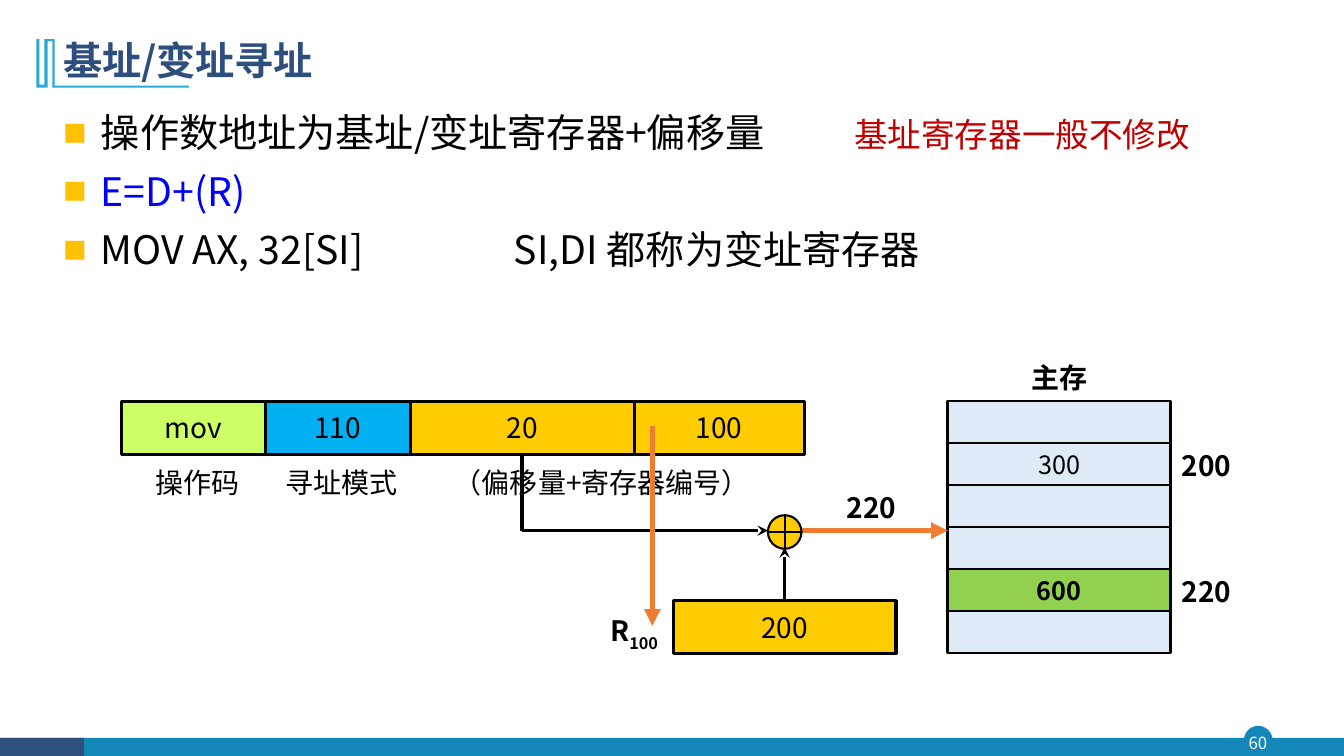
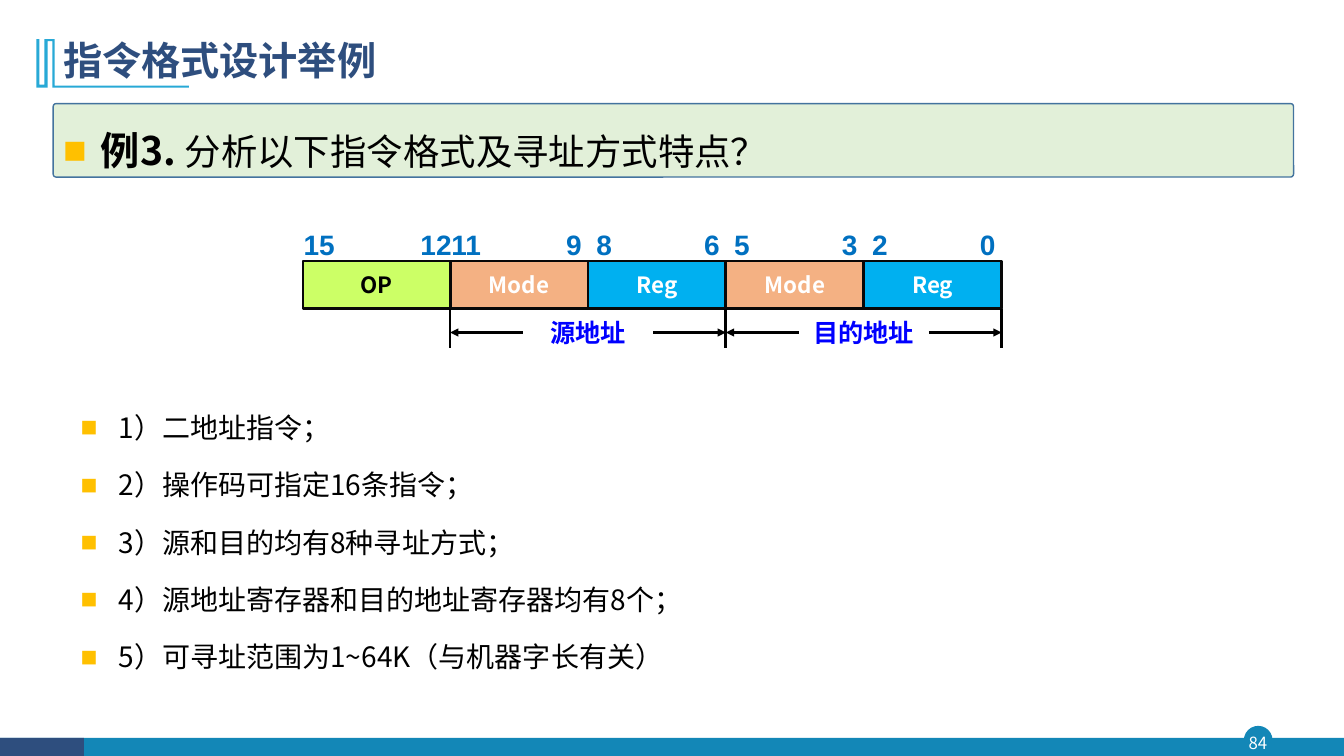
import pptx
import pptx.dml.color
import pptx.enum.shapes
import pptx.enum.text
import pptx.oxml
import pptx.oxml.ns
import pptx.util

KIND = pptx.enum.shapes.MSO_SHAPE
ALIGN = pptx.enum.text.PP_ALIGN
ANCHOR = pptx.enum.text.MSO_ANCHOR
COLS, ROWS = 96, 54
SANS = "Noto Sans CJK SC"
NAVY, TEAL, SKY = "2E4E7E", "1387B7", "28A9D6"
BLACK, WHITE, BLUE, RED = "000000", "FFFFFF", "0000FF", "C00000"
LIME, CYAN, GOLD, PALE = "CCFF66", "00B0F0", "FFCC00", "DEEBF7"
GREEN, PEACH, MINT, ORANGE = "92D050", "F4B183", "E2F0D9", "ED7D31"
MARK, DIGIT, EDGE, INK = "FFC000", "0070C0", "43739E", "080808"


def cell(n):
    return pptx.util.Pt(n * 10)


def color(code):
    return pptx.dml.color.RGBColor.from_string(code)


def node(root, tag, **attrs):
    item = pptx.oxml.ns.qn(tag)
    child = root.makeelement(item, attrs)
    root.append(child)
    return child


def run(para, text, size=20, code=BLACK, bold=False, face=SANS, base=None):
    part = para.add_run()
    part.text = text
    font = part.font
    font.size = pptx.util.Pt(size)
    font.bold = bold
    font.color.rgb = color(code)
    font.name = face
    props = part.font._element
    node(props, "a:ea", typeface=face)
    if base:
        props.set("baseline", base)


def fill(frame, runs, align=ALIGN.CENTER):
    para = frame.paragraphs[0]
    para.alignment = align
    for text, style in runs:
        run(para, text, **style)
    return para


def label(slide, box, *runs, align=ALIGN.CENTER, mid=False, inset=True):
    frame = slide.shapes.add_textbox(*map(cell, box)).text_frame
    frame.word_wrap = True
    if mid:
        frame.vertical_anchor = ANCHOR.MIDDLE
    if not inset:
        frame.margin_left = frame.margin_right = 0
        frame.margin_top = frame.margin_bottom = 0
    return fill(frame, runs, align)


def block(slide, box, code, line=None, width=1, kind=KIND.RECTANGLE, runs=()):
    shape = slide.shapes.add_shape(kind, *map(cell, box))
    shape.shadow.inherit = False
    shape.fill.solid()
    shape.fill.fore_color.rgb = color(code)
    if line:
        shape.line.color.rgb = color(line)
        shape.line.width = pptx.util.Pt(width)
    else:
        shape.line.fill.background()
    if runs:
        shape.text_frame.vertical_anchor = ANCHOR.MIDDLE
        fill(shape.text_frame, runs)
    return shape


def wire(slide, start, end, width, code=BLACK, tip=None, source=None, site=0):
    line = slide.shapes.add_connector(
        pptx.enum.shapes.MSO_CONNECTOR.STRAIGHT, *map(cell, start + end))
    if source:
        line.begin_connect(source, site)
    line.line.color.rgb = color(code)
    line.line.width = pptx.util.Pt(width)
    if tip:
        node(line.line._get_or_add_ln(), "a:tailEnd", type=tip)
    node(line._element.spPr, "a:effectLst")


def bullets(slide, box, items, gap=0, tabs=()):
    frame = slide.shapes.add_textbox(*map(cell, box)).text_frame
    frame.word_wrap = True
    for i, runs in enumerate(items):
        para = frame.add_paragraph() if i else frame.paragraphs[0]
        para.line_spacing = 1.0
        if i:
            para.space_before = pptx.util.Pt(gap)
        props = para._p.get_or_add_pPr()
        hang = cell(2.7)
        props.set("marL", str(hang))
        props.set("indent", str(-hang))
        node(node(props, "a:buClr"), "a:srgbClr", val=MARK)
        node(props, "a:buFont", typeface="Arial")
        node(props, "a:buChar", char="■")
        if i < len(tabs) and tabs[i]:
            stops = node(props, "a:tabLst")
            node(stops, "a:tab", pos=str(cell(tabs[i])), algn="l")
        for text, style in runs:
            run(para, text, **style)


def emblem(slide, x, y):
    spots = [(1.3, 0), (1.3, 3.31), (10.9, 3.31), (10.9, 3.46), (1.15, 3.46),
             (1.15, .14), (.8, .14), (.8, 3.46), (0, 3.46), (0, 0),
             (.22, 0), (.22, 3.24), (.58, 3.24), (.58, 0)]
    spots = [(cell(x + a), cell(y + b)) for a, b in spots]
    pen = slide.shapes.build_freeform(*spots[0])
    pen.add_line_segments(spots[1:], close=True)
    shape = pen.convert_to_shape()
    shape.shadow.inherit = False
    shape.fill.solid()
    shape.fill.fore_color.rgb = color(SKY)
    shape.line.fill.background()


def base(deck, title, number, face=SANS):
    slide = deck.slides.add_slide(deck.slide_layouts[6])
    block(slide, (88.9, 51.9, 1.95, 1.95), TEAL, TEAL, kind=KIND.OVAL)
    block(slide, (0, 52.7, COLS, 1.3), TEAL)
    block(slide, (0, 52.7, 6, 1.3), NAVY)
    label(slide, (88.7, 51.9, 2.3, 2.25),
          (number, dict(size=12, code=WHITE)), mid=True, inset=False)
    emblem(slide, 2.6, 2.8)
    para = label(slide, (3.8, 2, 82.8, 4.9),
                 (title, dict(size=28, code=NAVY, bold=True, face=face)),
                 align=ALIGN.LEFT, mid=True)
    para.line_spacing = 0.9
    return slide


def strip(slide, box, fields, line, width):
    x, y, _, h = box
    shapes = []
    for text, span, code, style in fields:
        shapes.append(block(slide, (x, y, span, h), code, line, width,
                            runs=[(text, style)]))
        x += span
    return shapes


def opcode(slide, box):
    x, y, w, h = box
    fields = [("mov", 10.25, LIME, {}), ("110", 10.35, CYAN, {}),
              ("20", 16, GOLD, {}), ("100", 12.15, GOLD, {})]
    shapes = strip(slide, box, fields, BLACK, 2.25)
    names = [("操作码", .3, 10.25), ("寻址模式", 10.5, 10.35),
             ("（偏移量+寄存器编号）", 18.9, 30.8)]
    for text, left, span in names:
        label(slide, (x + left, y + h + .45, span, 3.1), (text, {}))
    return shapes


def memory(slide, box):
    x, y, w, h = box
    step = h / 6
    label(slide, (x, y - 3.25, w, 3.2), ("主存", dict(bold=True)))
    data = {1: ("300", "200", PALE, False), 4: ("600", "220", GREEN, True)}
    for row in range(6):
        top = y + row * step
        value, mark, code, bold = data.get(row, ("", "", PALE, False))
        runs = [(value, dict(size=18, bold=bold))] if value else ()
        block(slide, (x, top, w, step), code, BLACK, 2, runs=runs)
        if mark:
            label(slide, (x + w, top, 5.2, step), (mark, dict(bold=True)))


def adder(slide, box, offset, right):
    x, y, w, h = box
    hub, mid, size = x + w / 2, y - 5, 2.4
    store = block(slide, box, GOLD, BLACK, 2.25, runs=[("200", {})])
    label(slide, (x - 5.5, y + .6, 5.4, 3.2), ("R", dict(bold=True)),
          ("100", dict(bold=True, base="-25000")))
    wire(slide, (hub + 1.1, mid), (right, mid), 4, ORANGE, "triangle")
    label(slide, (hub + 3.6, mid - 3.2, 5.2, 3.2), ("220", dict(bold=True)))
    wire(slide, (hub, y), (hub, mid + 1.2), 2.5, tip="stealth", source=store)
    drop = (offset.left + offset.width / 2) / cell(1)
    foot = (offset.top + offset.height) / cell(1)
    wire(slide, (drop, foot), (drop, mid), 2.5, source=offset, site=2)
    wire(slide, (drop, mid), (hub - 1.2, mid), 2.5, tip="stealth")
    block(slide, (hub - 1.2, mid - 1.1, size, size), GOLD, BLACK, 1.5,
          kind=KIND.FLOWCHART_OR)
    wire(slide, (x - 1.5, y - 12.5), (x - 1.5, y + 1.8), 4, ORANGE, "triangle")


def indexed(deck):
    slide = base(deck, "基址/变址寻址", "60", "Noto Sans CJK JP")
    big = dict(size=28)
    bullets(slide, (3.8, 7.4, 89.6, 16.2), [
        [("操作数地址为基址/变址寄存器+偏移量\t", big),
         ("基址寄存器一般不修改", dict(size=24, code=RED))],
        [("E=D+(R)", dict(size=28, code=BLUE))],
        [("MOV AX, 32[SI]\tSI,DI 都称为变址寄存器", big)],
    ], 8, (56.5, 0, 32.2))
    fields = opcode(slide, (8.7, 28.65, 48.75, 3.8))
    memory(slide, (67.7, 28.65, 15.9, 18))
    adder(slide, (48.1, 42.9, 15.9, 3.8), fields[2], 67.7)


def span(slide, box, text):
    x, y, w, h = box
    label(slide, (x, y + .25, w, 2.9),
          (text, dict(size=18, code=BLUE, bold=True)))
    mid = y + 1.7
    for edge, sign in ((x, 1), (x + w, -1)):
        wire(slide, (edge + sign * 5.2, mid), (edge, mid), 1.5,
             tip="triangle")


def layout(slide, box):
    x, y, w, h = box
    first = 10.5
    part = (w - first) / 4
    dark = dict(size=16, bold=True)
    light = dict(dark, code=WHITE)
    pair = [("Mode", part, PEACH, light), ("Reg", part, CYAN, light)]
    strip(slide, box, [("OP", first, LIME, dark)] + pair * 2, INK, 2)
    edges = [x] + [x + first + i * part for i in range(5)]
    bits = [("15", "12"), ("11", "9"), ("8", "6"), ("5", "3"), ("2", "0")]
    for i, (high, low) in enumerate(bits):
        for text, hub in ((high, edges[i] + 1.15), (low, edges[i + 1] - 1)):
            label(slide, (hub - 2.5, y - 2.75, 5, 3.15),
                  (text, dict(code=DIGIT, bold=True, face="Arial")))
    foot = y + h
    for edge in edges[1::2]:
        wire(slide, (edge, foot), (edge, foot + 2.8), 2)
    for i, text in enumerate(("源地址", "目的地址")):
        span(slide, (edges[1 + 2 * i], foot, 2 * part, 3), text)


def example(deck):
    slide = base(deck, "指令格式设计举例", "84")
    card = block(slide, (3.8, 7.4, 88.6, 5.25), MINT, EDGE,
                 kind=KIND.ROUNDED_RECTANGLE)
    card.adjustments[0] = 0.04
    bullets(slide, (3.8, 8.7, 82.8, 5), [
        [("例3. ", dict(size=28, bold=True)),
         ("分析以下指令格式及寻址方式特点？", dict(size=26))]])
    layout(slide, (21.65, 18.65, 49.9, 3.4))
    notes = ["1）二地址指令；", "2）操作码可指定16条指令；",
             "3）源和目的均有8种寻址方式；",
             "4）源地址寄存器和目的地址寄存器均有8个；",
             "5）可寻址范围为1~64K（与机器字长有关）"]
    bullets(slide, (5.05, 28.95, 87.4, 23.5), [[(n, {})] for n in notes], 17)


def main():
    deck = pptx.Presentation()
    deck.slide_width, deck.slide_height = cell(COLS), cell(ROWS)
    indexed(deck)
    example(deck)
    deck.save("out.pptx")


if __name__ == "__main__":
    main()
